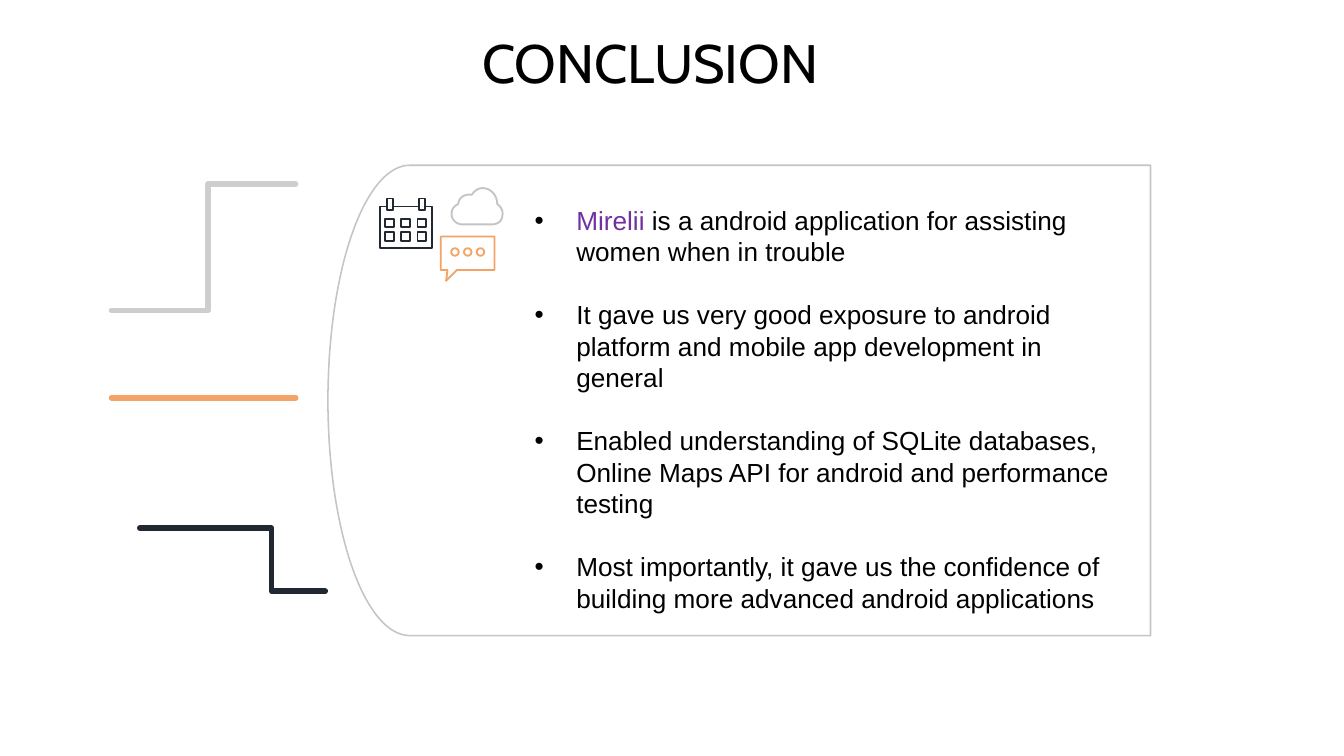
"""Build the conclusion slide with a bulleted panel, icons and stepped lines."""
import math
from dataclasses import dataclass
from itertools import product
from typing import NamedTuple, Optional

from lxml import etree
from pptx import Presentation
from pptx.dml.color import RGBColor
from pptx.enum import shapes, text
from pptx.oxml.ns import qn
from pptx.util import Inches, Pt


@dataclass(frozen=True)
class Theme:
    white: str = "FFFFFF"
    black: str = "000000"
    grey: str = "CECECE"
    outline: str = "C4C4C4"
    orange: str = "F2A365"
    navy: str = "222831"
    purple: str = "7030A0"
    title_font: str = "Cabin"
    body_font: str = "Arial"
    title_size: float = 29
    body_size: float = 14
    line_pitch: float = 16.87
    bar: float = 3
    panel: float = 0.81
    icon: float = 1


class Point(NamedTuple):
    x: float
    y: float


class Box(NamedTuple):
    left: float
    top: float
    width: float
    height: float


@dataclass(frozen=True)
class Bar:
    points: list[Point]
    color: str


@dataclass(frozen=True)
class Bullet:
    body: str
    lead: str = ""


T = Theme()
BARS = [
    Bar([Point(0.83, 2.31), Point(1.55, 2.31), Point(1.55, 1.37), Point(2.2, 1.37)], T.grey),
    Bar([Point(0.83, 2.96), Point(2.2, 2.96)], T.orange),
    Bar([Point(1.04, 3.93), Point(2.02, 3.93), Point(2.02, 4.4), Point(2.42, 4.4)], T.navy),
]
BULLETS = [
    Bullet(" is a android application for assisting women when in trouble", "Mirelii"),
    Bullet("It gave us very good exposure to android platform and mobile app development in general"),
    Bullet("Enabled understanding of SQLite databases, Online Maps API for android and performance testing"),
    Bullet("Most importantly, it gave us the confidence of building more advanced android applications"),
]
PANEL = Box(2.44, 1.23, 6.12, 3.5)
PANEL_CURVE = 0.61
BUBBLE = [Point(3.28, 1.76), Point(3.68, 1.76), Point(3.68, 2.01), Point(3.4, 2.01),
          Point(3.32, 2.09), Point(3.33, 2.01), Point(3.28, 2.01)]
CLOUD_START = Point(3.59, 1.4)
CLOUD_CURVES = [
    (Point(3.65, 1.4), Point(3.7, 1.45), Point(3.7, 1.52)),
    (Point(3.72, 1.53), Point(3.74, 1.56), Point(3.74, 1.59)),
    (Point(3.74, 1.64), Point(3.71, 1.67), Point(3.66, 1.67)),
    (Point(3.59, 1.67), Point(3.51, 1.67), Point(3.44, 1.67)),
    (Point(3.4, 1.67), Point(3.36, 1.64), Point(3.36, 1.59)),
    (Point(3.36, 1.56), Point(3.38, 1.53), Point(3.41, 1.52)),
    (Point(3.41, 1.48), Point(3.45, 1.44), Point(3.51, 1.45)),
    (Point(3.53, 1.42), Point(3.56, 1.4), Point(3.59, 1.4)),
]


def rgb(color: str) -> RGBColor:
    return RGBColor.from_string(color)


def style(sp, color: str, width: float, fill: Optional[str] = None) -> None:
    sp.shadow.inherit = False
    sp.line.color.rgb = rgb(color)
    sp.line.width = Pt(width)
    if fill:
        sp.fill.solid()
        sp.fill.fore_color.rgb = rgb(fill)
    else:
        sp.fill.background()


def draw_path(slide, points: list[Point], color: str, width: float,
              fill: Optional[str] = None, close: bool = True):
    emu = [(Inches(p.x), Inches(p.y)) for p in points]
    builder = slide.shapes.build_freeform(*emu[0])
    builder.add_line_segments(emu[1:], close=close)
    sp = builder.convert_to_shape()
    style(sp, color, width, fill)
    return sp


def draw_preset(slide, kind, box: Box, color: str, fill: Optional[str] = None) -> None:
    left, top, width, height = map(Inches, box)
    line = Pt(T.icon)
    sp = slide.shapes.add_shape(kind, left + line // 2, top + line // 2,
                                width - line, height - line)
    style(sp, color, T.icon, fill)


def draw_bar(slide, bar: Bar) -> None:
    if len(bar.points) == 2:
        ends = [Inches(v) for point in bar.points for v in point]
        sp = slide.shapes.add_connector(shapes.MSO_CONNECTOR.STRAIGHT, *ends)
        sp.line.color.rgb = rgb(bar.color)
        sp.line.width = Pt(T.bar)
        etree.SubElement(sp._element.spPr, qn("a:effectLst"))
    else:
        sp = draw_path(slide, bar.points, bar.color, T.bar, close=False)
    sp._element.spPr.find(qn("a:ln")).set("cap", "rnd")


def draw_panel(slide, box: Box, curve: float) -> None:
    radius = box.height / 2
    angles = [math.pi * (0.5 + i / 90) for i in range(91)]
    arc = [Point(box.left + curve * (1 + math.cos(a)), box.top + radius * (1 - math.sin(a)))
           for a in angles]
    right = box.left + box.width
    corners = [Point(right, box.top + box.height), Point(right, box.top)]
    draw_path(slide, arc + corners, T.outline, T.panel, T.white)


def draw_cloud(slide) -> None:
    points = [CLOUD_START]
    for a, b, end in CLOUD_CURVES:
        start = points[-1]
        for t in (i / 12 for i in range(1, 13)):
            s = 1 - t
            points.append(Point(*(s**3 * p + 3 * s * s * t * q + 3 * s * t * t * m + t**3 * n
                                  for p, q, m, n in zip(start, a, b, end))))
    draw_path(slide, points, T.outline, T.icon)


def draw_bubble(slide) -> None:
    draw_path(slide, BUBBLE, T.orange, T.icon)
    for i in range(3):
        box = Box(3.35 + i * 0.19 / 2, 1.84, 0.07, 0.07)
        draw_preset(slide, shapes.MSO_SHAPE.OVAL, box, T.orange)


def draw_calendar(slide) -> None:
    rect = shapes.MSO_SHAPE.RECTANGLE
    draw_preset(slide, rect, Box(2.82, 1.53, 0.4, 0.32), T.navy)
    for left in (2.87, 3.11):
        draw_preset(slide, rect, Box(left, 1.47, 0.06, 0.1), T.navy, T.white)
    for row, col in product(range(2), range(3)):
        box = Box(2.86 + col * 0.12, 1.62 + row * 0.1, 0.08, 0.08)
        draw_preset(slide, rect, box, T.navy)


def add_text(p, content: str, *, size: float = T.body_size, font: str = T.body_font,
             color: str = T.black) -> None:
    r = p.add_run()
    r.text = content
    r.font.size = Pt(size)
    r.font.name = font
    r.font.color.rgb = rgb(color)


def add_bullet_mark(p) -> None:
    props = p._p.get_or_add_pPr()
    props.set("marL", str(Inches(0.31)))
    props.set("indent", str(-Inches(0.31)))
    color = etree.SubElement(props, qn("a:buClr"))
    etree.SubElement(color, qn("a:srgbClr"), val=T.black)
    etree.SubElement(props, qn("a:buFont"), typeface=T.body_font)
    etree.SubElement(props, qn("a:buChar"), char="•")


def add_title(slide, content: str) -> None:
    sp = slide.shapes.title
    sp.left, sp.top, sp.width, sp.height = map(Inches, (2.18, 0.25, 5.32, 0.42))
    tf = sp.text_frame
    tf.auto_size = text.MSO_AUTO_SIZE.NONE
    tf.vertical_anchor = text.MSO_ANCHOR.MIDDLE
    tf.margin_left = tf.margin_right = tf.margin_top = tf.margin_bottom = Inches(0.1)
    p = tf.paragraphs[0]
    p.alignment = text.PP_ALIGN.CENTER
    add_text(p, content, size=T.title_size, font=T.title_font)


def add_bullets(slide, bullets: list[Bullet]) -> None:
    tf = slide.shapes.add_textbox(*map(Inches, (3.88, 1.47, 4.6, 3.16))).text_frame
    tf.word_wrap = True
    for i, bullet in enumerate(bullets):
        p = tf.add_paragraph() if i else tf.paragraphs[0]
        p.line_spacing = Pt(T.line_pitch)
        p.space_before = Pt(T.line_pitch if i else 0)
        add_bullet_mark(p)
        if bullet.lead:
            add_text(p, bullet.lead, color=T.purple)
        add_text(p, bullet.body)


def main() -> None:
    prs = Presentation()
    prs.slide_width, prs.slide_height = Inches(10), Inches(10) * 9 // 16
    slide = prs.slides.add_slide(prs.slide_layouts[5])
    add_title(slide, "CONCLUSION")
    for bar in BARS:
        draw_bar(slide, bar)
    draw_panel(slide, PANEL, PANEL_CURVE)
    draw_cloud(slide)
    draw_bubble(slide)
    draw_calendar(slide)
    add_bullets(slide, BULLETS)
    prs.save("out.pptx")


if __name__ == "__main__":
    main()
